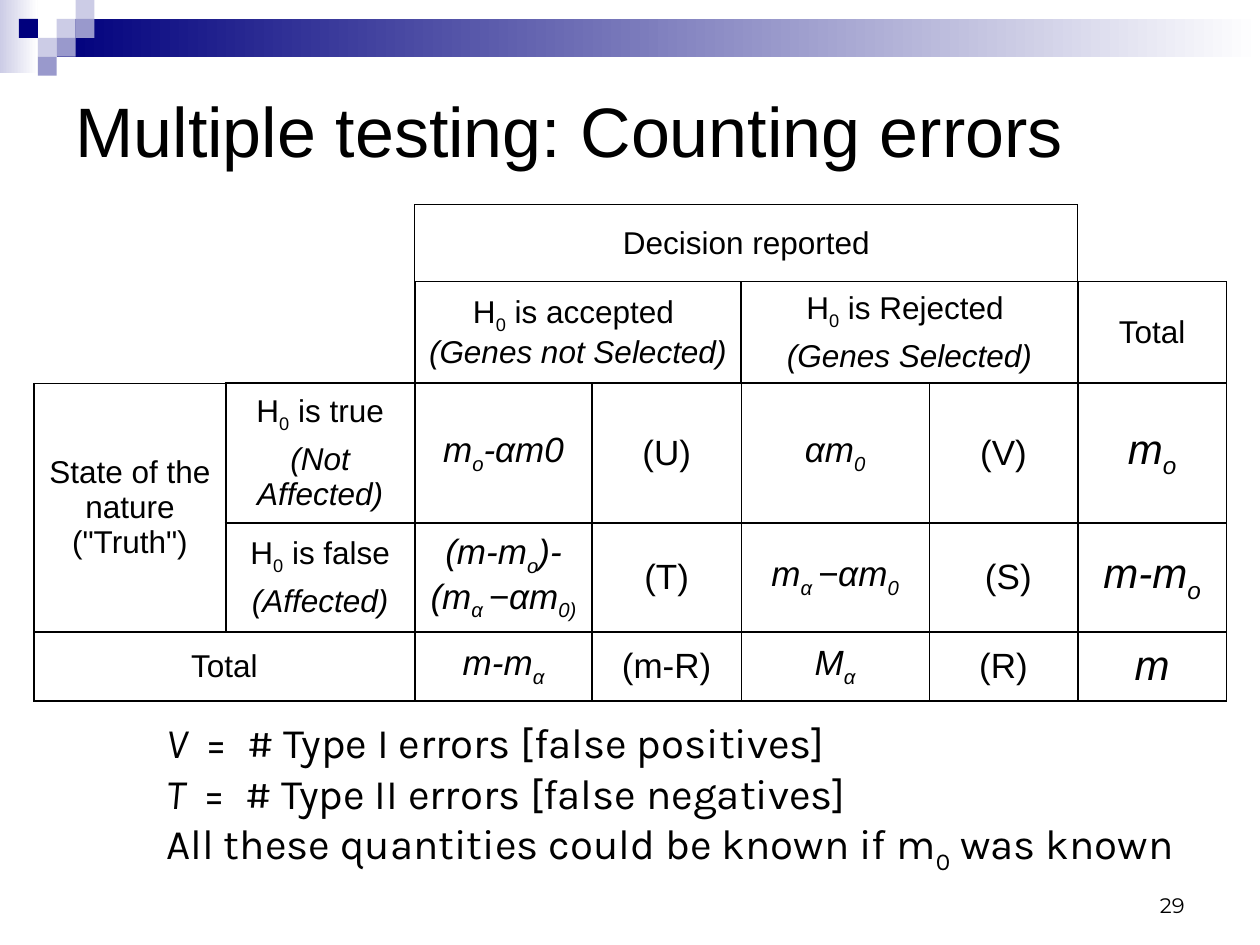
from pptx import Presentation
from pptx.dml.color import RGBColor
from pptx.enum.shapes import MSO_SHAPE as Shape
from pptx.enum.text import MSO_ANCHOR as Anchor, PP_ALIGN as Align
from pptx.oxml import parse_xml
from pptx.oxml.ns import nsdecls, qn
from pptx.util import Pt

BLACK, NAVY, LAVENDER, LILAC, WHITE = "000000", "00007D", "CCCCE6", "9999CC", "FFFFFF"
NO_STYLE = "{2D5ABB26-0587-4C30-8999-92F81FD0307C}"
COLUMNS = [109.5, 108, 101.5, 85, 107.5, 85, 85]
ROWS = [44, 58, 80, 62, 39.5]
FINE, THIN, MID, BOLD = 0.45, 0.75, 1.08, 1.47

HEADINGS = [
    (0, 2, 1, 4, 18, ["Decision reported"], (THIN, THIN, FINE, THIN)),
    (1, 2, 1, 2, 18, ["H~0~ is accepted \n*(Genes not Selected)*"], (MID, THIN, FINE, MID)),
    (1, 4, 1, 2, 18, ["H~0~ is Rejected ", "*(Genes Selected)*"], (FINE, THIN, BOLD, MID)),
    (1, 6, 1, 1, 18, ["Total"], (BOLD, FINE, MID, BOLD)),
    (2, 0, 2, 1, 18, ['State of the nature ("Truth")'], (MID, FINE, BOLD, BOLD)),
    (2, 1, 1, 1, 18, ["H~0~ is true", "*(Not Affected)*"], (BOLD, MID, MID, MID)),
    (3, 1, 1, 1, 18, ["H~0~ is false", "*(Affected)*"], (BOLD, MID, MID, BOLD)),
    (4, 0, 1, 2, 18, ["Total"], (MID, BOLD, MID, MID)),
]
COUNTS = [
    ["*m~o~-αm0*", "(U)", "*αm~0~*", "(V)", "*m~o~*"],
    ["*(m-m~o~)-\n(m~α ~−αm~0)~*", "(T)", "*m~α ~−αm~0~*", " (S)", "*m-m~o~*"],
    ["*m-m~α~*", "(m-R)", "*M~α~*", "(R)", "*m*"],
]
COUNT_STYLES = [
    (20, (MID, MID, 0, MID)),
    (20, (0, MID, FINE, MID)),
    (20, (FINE, MID, 0, MID)),
    (20, (0, MID, MID, MID)),
    (24, (MID, MID, MID, MID)),
]
NOTES = [
    "*V  *=  # Type I errors [false positives]",
    "*T  *=  # Type II errors [false negatives]",
    "All these quantities could be known if m~0~ was known",
]


def color(value):
    """Turn a hex string into a colour."""
    return RGBColor.from_string(value)


def write_spans(para, text):
    """Add runs to a paragraph, where * toggles italics and ~ toggles subscript."""
    for slant, part in enumerate(text.split("*")):
        for drop, piece in enumerate(part.split("~")):
            for number, line in enumerate(piece.split("\n")):
                if number:
                    para.add_line_break()
                if not line:
                    continue
                span = para.add_run()
                span.text = line
                if slant % 2:
                    span.font.italic = True
                if drop % 2:
                    span.font._element.set("baseline", "-25000")


def write(frame, texts, font, size, align=Align.LEFT, gap=0):
    """Write marked-up paragraphs in one font and size."""
    for index, text in enumerate(texts):
        para = frame.add_paragraph() if index else frame.paragraphs[0]
        para.alignment = align
        if index and gap:
            para.space_before = Pt(gap)
        para.font.name, para.font.size = font, Pt(size)
        para.font.color.rgb = color(BLACK)
        write_spans(para, text)


def add_text(page, box, texts, font, size, anchor=Anchor.TOP, align=Align.LEFT):
    """Place a wrapping text box."""
    frame = page.shapes.add_textbox(*map(Pt, box)).text_frame
    frame.word_wrap = True
    frame.vertical_anchor = anchor
    write(frame, texts, font, size, align)


def add_rectangle(page, box, *fills):
    """Place a rectangle with one colour or a left-to-right gradient of two."""
    shape = page.shapes.add_shape(Shape.RECTANGLE, *map(Pt, box))
    shape.shadow.inherit = False
    shape.line.fill.background()
    if len(fills) == 1:
        shape.fill.solid()
        shape.fill.fore_color.rgb = color(fills[0])
    else:
        shape.fill.gradient()
        shape.fill.gradient_angle = 0
        for stop, value in zip(shape.fill.gradient_stops, fills):
            stop.color.rgb = color(value)


def add_banner(page, left, top, width, unit):
    """Draw the banner and its squares on a grid of the given unit."""
    add_rectangle(page, (left, top, 2 * unit, 42), LAVENDER, WHITE)
    add_rectangle(page, (left + 3 * unit, top + unit, width - 3 * unit, 2 * unit), NAVY, WHITE)
    squares = [(3, 1, LAVENDER), (4, 0, LAVENDER), (4, 1, LILAC), (2, 2, LAVENDER),
               (1, 1, NAVY), (3, 2, LILAC), (2, 3, LILAC)]
    for column, row, fill in squares:
        add_rectangle(page, (left + column * unit, top + row * unit, unit, unit), fill)


def set_borders(cell, widths):
    """Draw the borders of a cell that have a width."""
    properties = cell._tc.get_or_add_tcPr()
    left, top, right, bottom = widths
    for side, width in zip("LRTB", (left, right, top, bottom)):
        if width:
            properties.append(parse_xml(
                f'<a:ln{side} {nsdecls("a")} w="{Pt(width)}"><a:solidFill>'
                f'<a:srgbClr val="{BLACK}"/></a:solidFill></a:ln{side}>'))


def fill_block(table, row, column, rows, columns, size, texts, borders):
    """Merge a block of cells, border its outside and write its text."""
    origin = table.cell(row, column)
    last_row, last_column = row + rows - 1, column + columns - 1
    if rows * columns > 1:
        origin.merge(table.cell(last_row, last_column))
    for y in range(row, last_row + 1):
        for x in range(column, last_column + 1):
            outside = (x == column, y == row, x == last_column, y == last_row)
            set_borders(table.cell(y, x), [w * edge for w, edge in zip(borders, outside)])
    origin.vertical_anchor = Anchor.MIDDLE
    write(origin.text_frame, texts, "Arial", size, Align.CENTER, 4.5)


def add_error_table(page, left, top):
    """Build the table of decisions against the truth."""
    table = page.shapes.add_table(len(ROWS), len(COLUMNS), Pt(left), Pt(top),
                                  Pt(sum(COLUMNS)), Pt(sum(ROWS))).table
    table.first_row = table.horz_banding = False
    table._tbl.tblPr.find(qn("a:tableStyleId")).text = NO_STYLE
    for column, width in zip(table.columns, COLUMNS):
        column.width = Pt(width)
    for row, height in zip(table.rows, ROWS):
        row.height = Pt(height)
    for block in HEADINGS:
        fill_block(table, *block)
    for row, texts in enumerate(COUNTS, 2):
        for column, (text, (size, borders)) in enumerate(zip(texts, COUNT_STYLES), 2):
            fill_block(table, row, column, 1, 1, size, [text], borders)
    for row in (0, 1):
        table.cell(row, 0).merge(table.cell(row, 1))
    for cell in table.iter_cells():
        cell.fill.background()


def main():
    """Build the slide and save it."""
    deck = Presentation()
    deck.slide_width, deck.slide_height = Pt(720), Pt(540)
    page = deck.slides.add_slide(deck.slide_layouts[6])
    add_banner(page, 0, 0, 720, 10.8)
    add_text(page, (516, 492, 168, 36), ["29"], "Montserrat", 12, Anchor.BOTTOM, Align.RIGHT)
    add_text(page, (36, 36, 648, 75.5), ["Multiple testing: Counting errors"],
             "Arial", 40, Anchor.MIDDLE)
    add_error_table(page, 19.5, 117)
    add_text(page, (88, 406, 607, 98), NOTES, "Karla", 24)
    deck.save("out.pptx")


if __name__ == "__main__":
    main()
